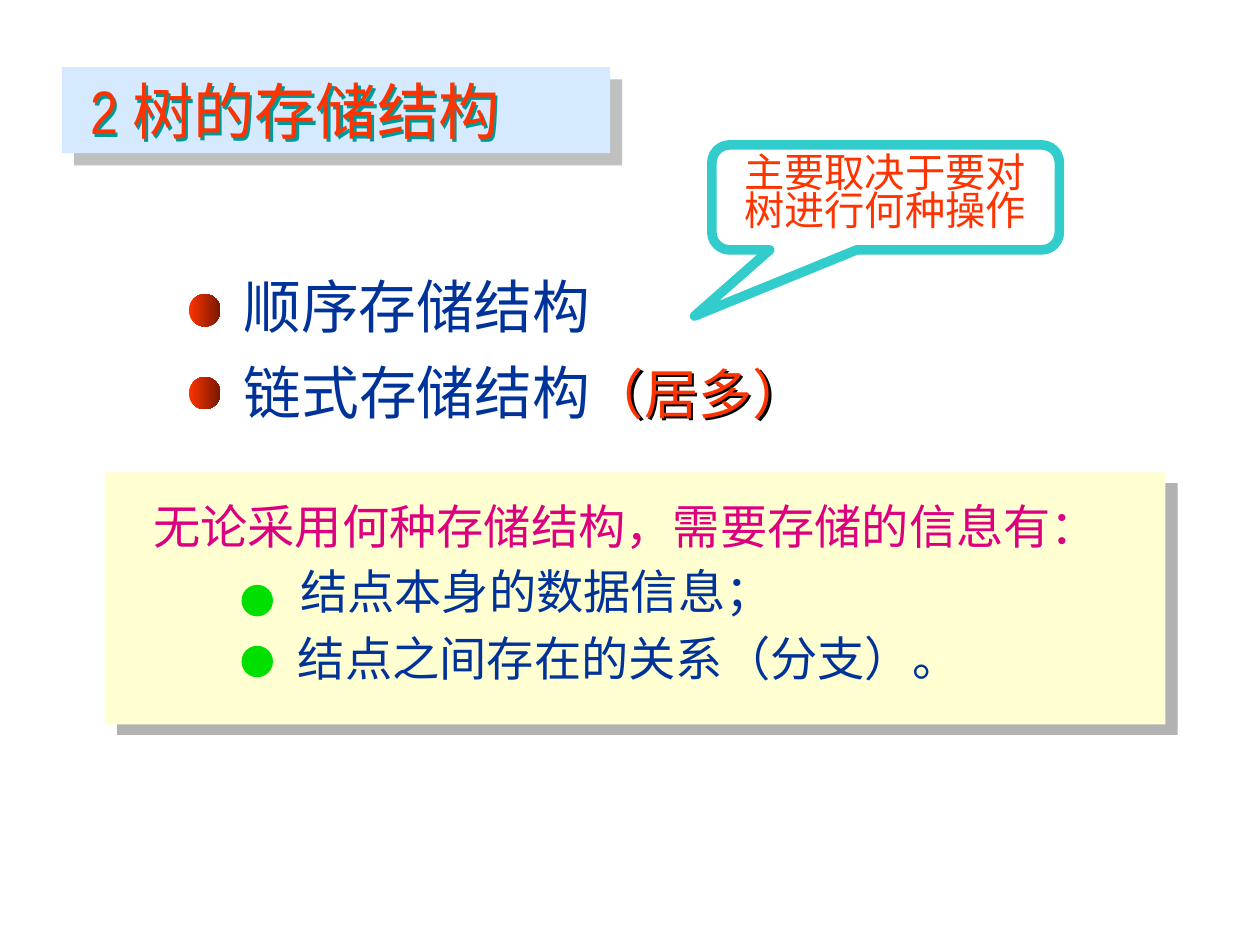
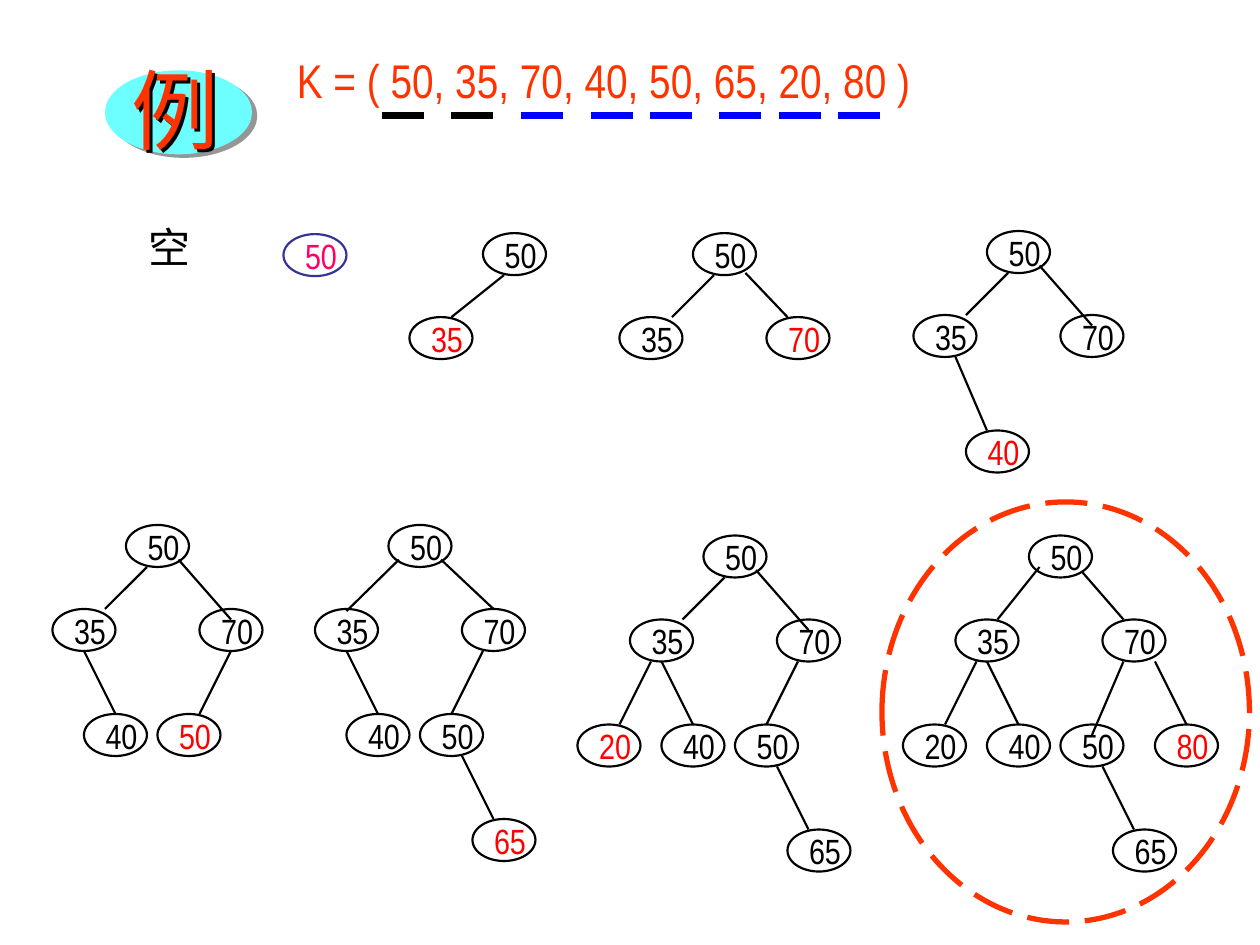
"""Build two slides on how trees are stored and how a search tree grows."""
from lxml import etree
from pptx import Presentation
from pptx.dml.color import RGBColor
from pptx.enum.dml import MSO_LINE_DASH_STYLE as Dash
from pptx.enum.lang import MSO_LANGUAGE_ID as Language
from pptx.enum.shapes import MSO_CONNECTOR as Connector, MSO_SHAPE as Shape
from pptx.enum.text import MSO_ANCHOR as Anchor, PP_ALIGN as Align
from pptx.oxml.ns import qn
from pptx.util import Inches, Pt

COLUMNS, ROWS = 120, 90
NARROW, SANS, SANS_JP = "Arial Narrow", "Noto Sans CJK SC", "Noto Sans CJK JP"
ORANGE, NAVY, MAGENTA = "FF3300", "003399", "DC0081"
BLACK, RED, BLUE, GREEN, TEAL = "000000", "FF0000", "0000FF", "00E000", "009999"
NODE_WIDTH, NODE_HEIGHT = 6, 4

NODES = {
    "root": (50, 0, 0), "L": (35, -7, 8), "R": (70, 7, 8),
    "LL": (20, -12, 18), "LR": (40, -4, 18), "RL": (50, 3, 18),
    "RR": (80, 12, 18), "RLR": (65, 8, 28),
}
EDGES = {
    "L": (2, 4, -2, 8), "R": (5, 3.3, 10, 9), "LL": (-5, 12, -8, 18),
    "LR": (-4, 12, -1, 18), "RL": (9, 12, 6, 18), "RR": (12, 12, 15, 18),
    "RLR": (7, 22, 10, 28),
}
TREES = [
    (46, 22.2, "L", {"L": (2, 4, -3, 8)}, {}),
    (66, 22.2, "L R", {"R": (5, 3.8, 9, 8)}, {}),
    (94, 22, "L R LR", {"LR": (-3, 12, 0, 19)}, {"LR": (40, -2, 19)}),
    (12, 50, "L R LR RL", {"RL": (10, 12, 7, 18)}, {}),
    (37, 50, "L R LR RL RLR", {"L": (1, 3.3, -4, 8.2), "R": (5, 3.3, 10, 8)}, {}),
    (67, 51, "L R LR RL RLR LL", {}, {}),
    (98, 51, "L R LR RL RLR LL RR",
     {"L": (1, 3, -3, 8), "R": (5, 3.4, 9, 8), "RL": (9, 12, 6, 19)}, {}),
]


def color(value):
    """Turn a hex string into a colour."""
    return RGBColor.from_string(value)


class Deck:
    """Hold the shared style and the current slide."""

    def __init__(self):
        """Start an empty presentation."""
        self.presentation = Presentation()
        self.presentation.slide_width = Inches(10)
        self.presentation.slide_height = Inches(7.5)
        self.slide = None

    def new_slide(self):
        """Add a blank slide and make it current."""
        layout = self.presentation.slide_layouts[6]
        self.slide = self.presentation.slides.add_slide(layout)

    def x(self, column):
        """Give the length of a number of columns."""
        return round(self.presentation.slide_width * column / COLUMNS)

    def y(self, row):
        """Give the length of a number of rows."""
        return round(self.presentation.slide_height * row / ROWS)

    def box(self, column, row, width, height):
        """Turn grid places into a left, top, width and height."""
        return self.x(column), self.y(row), self.x(width), self.y(height)

    def shadow(self, shape, tint, distance, angle=45):
        """Cast a solid shadow from a shape or from its bare text."""
        effects = etree.SubElement(shape._element.spPr, qn("a:effectLst"))
        outer = etree.SubElement(effects, qn("a:outerShdw"), blurRad="0",
                                 dist=str(Pt(distance)), dir=str(angle * 60000),
                                 algn="ctr", rotWithShape="0")
        etree.SubElement(outer, qn("a:srgbClr"), val=tint)

    def run(self, paragraph, text, size, tint, font=NARROW):
        """Add one styled run."""
        run = paragraph.add_run()
        run.text = text
        run.font.size = Pt(size)
        run.font.name = font
        run.font.color.rgb = color(tint)
        run.font.language_id = Language.SIMPLIFIED_CHINESE
        latin = run._r.rPr.find(qn("a:latin"))
        latin.addnext(etree.Element(qn("a:ea"), typeface=NARROW))

    def text(self, place, lines, size, tint, font=NARROW, spacing=None,
             align=Align.LEFT, wrap=True):
        """Add a text box; a line is a string or a list of text and font pairs."""
        shape = self.slide.shapes.add_textbox(*self.box(*place))
        frame = shape.text_frame
        frame.word_wrap = wrap
        for index, line in enumerate(lines):
            paragraph = frame.add_paragraph() if index else frame.paragraphs[0]
            paragraph.alignment = align
            paragraph.line_spacing = spacing
            pieces = [(line, font)] if isinstance(line, str) else line
            for piece, piece_font in pieces:
                self.run(paragraph, piece, size, tint, piece_font)
        return shape

    def shape(self, kind, place, fill=None, line=None, weight=1.25):
        """Add a preset shape with an optional fill and outline."""
        shape = self.slide.shapes.add_shape(kind, *self.box(*place))
        if fill:
            shape.fill.solid()
            shape.fill.fore_color.rgb = color(fill)
        else:
            shape.fill.background()
        if line:
            shape.line.color.rgb = color(line)
            shape.line.width = Pt(weight)
        else:
            shape.line.fill.background()
        return shape

    def plain(self, *arguments, **options):
        """Add a preset shape without a shadow."""
        shape = self.shape(*arguments, **options)
        shape.shadow.inherit = False
        return shape

    def panel(self, kind, place, fill, tint, distance, angle=45):
        """Add a filled shape with a solid shadow."""
        self.shadow(self.shape(kind, place, fill), tint, distance, angle)

    def ball(self, column, row):
        """Add a shaded round bullet."""
        shape = self.plain(Shape.OVAL, (column, row, 3, 3.1), ORANGE)
        shape.fill.gradient()
        shape.fill.gradient_angle = 0
        for stop, tint, position in zip(shape.fill.gradient_stops,
                                        (ORANGE, "761800"), (0, 1)):
            stop.color.rgb = color(tint)
            stop.position = position

    def line(self, column, row, end_column, end_row, tint=BLACK, weight=1.25):
        """Add a straight line."""
        connector = self.slide.shapes.add_connector(
            Connector.STRAIGHT, self.x(column), self.y(row),
            self.x(end_column), self.y(end_row))
        connector.line.color.rgb = color(tint)
        connector.line.width = Pt(weight)
        etree.SubElement(connector._element.spPr, qn("a:effectLst"))

    def node(self, value, column, row, tint=BLACK, line=BLACK):
        """Add a tree node with its key."""
        shape = self.plain(Shape.OVAL, (column, row, NODE_WIDTH, NODE_HEIGHT),
                           line=line)
        frame = shape.text_frame
        frame.word_wrap = False
        frame.vertical_anchor = Anchor.MIDDLE
        frame.paragraphs[0].alignment = Align.LEFT
        self.run(frame.paragraphs[0], str(value), 20, tint)

    def tree(self, column, row, branches, edges, nodes):
        """Add a tree whose newest key is red."""
        names = branches.split()
        edges, nodes = EDGES | edges, NODES | nodes
        for name in names:
            start_x, start_y, end_x, end_y = edges[name]
            self.line(column + start_x, row + start_y, column + end_x, row + end_y)
        for name in ["root", *names]:
            value, right, down = nodes[name]
            self.node(value, column + right, row + down,
                      RED if name == names[-1] else BLACK)


def storage_slide(deck):
    """Build the slide on tree storage structures."""
    deck.new_slide()
    deck.panel(Shape.RECTANGLE, (5.9, 6.4, 52.2, 8.2), "D5EAFF", "C0C0C0", 9.9)
    title = deck.text((7.4, 6.4, 50, 8.2),
                      [[("2 ", NARROW), ("树的存储结构", SANS)]], 35, ORANGE)
    deck.shadow(title, TEAL, 2)

    deck.text((22, 25.2, 49, 7.8), ["顺序存储结构"], 33, NAVY)
    deck.text((18.2, 33.4, 43, 7.8), ["链式存储结构"], 33, NAVY, align=Align.CENTER)
    for row in (28, 35.9):
        deck.ball(18, row)
    deck.shadow(deck.text((55, 33.7, 27, 7.4), ["（居多）"], 31, ORANGE), BLACK, 2)

    deck.text((69.7, 14.3, 39.4, 8.6), ["主要取决于要对", "树进行何种操作"],
              23, ORANGE, spacing=0.8)
    callout = deck.plain(Shape.ROUNDED_RECTANGULAR_CALLOUT, (67.8, 13.8, 33.1, 10),
                         line="33CCCC", weight=5.5)
    for index, value in enumerate((-0.55, 1.13, 0.17)):
        callout.adjustments[index] = value

    deck.panel(Shape.RECTANGLE, (10, 45, 101, 24), "FFFFD1", "B2B2B2", 9.2, 41)
    deck.text((13.4, 46.8, 93, 6.6), ["无论采用何种存储结构，需要存储的信息有："],
              27, MAGENTA)
    deck.text((27.4, 53.6, 60, 6.1), ["结点本身的数据信息；"], 27, NAVY, spacing=0.9)
    deck.text((27.2, 59.3, 65.5, 6.6), ["结点之间存在的关系（分支）。"], 27, NAVY)
    for row in (55.7, 61.5):
        deck.plain(Shape.OVAL, (23, row, 3, 3), GREEN)


def insertion_slide(deck):
    """Build the slide that grows a search tree key by key."""
    deck.new_slide()
    deck.text((13, 20.5, 6.5, 24.2), ["空"], 24, BLACK, wrap=False)
    deck.node(50, 27, 22.3, "FF0066", "333399")
    for tree in TREES:
        deck.tree(*tree)

    for index, column in enumerate((36.4, 43, 49.6, 56.3, 61.9, 68.5, 74.2, 79.8)):
        deck.line(column, 11, column + 4, 11, BLACK if index < 2 else BLUE, 4)
    ring = deck.plain(Shape.OVAL, (84, 47.8, 35, 40), line=ORANGE, weight=3)
    ring.line.dash_style = Dash.LONG_DASH

    deck.text((27.1, 4.3, 83.8, 6.6), ["K = ( 50, 35, 70, 40, 50, 65, 20, 80 )"],
              27, ORANGE)
    deck.panel(Shape.OVAL, (10, 6.7, 14, 8), "6DFFFF", "969696", 3.6, 34)
    example = deck.text((11.3, 4.7, 14.5, 11.2), ["例"], 50, ORANGE, SANS_JP)
    deck.shadow(example, BLACK, 3)


def main():
    """Build and save the presentation."""
    deck = Deck()
    storage_slide(deck)
    insertion_slide(deck)
    deck.presentation.save("out.pptx")


if __name__ == "__main__":
    main()
